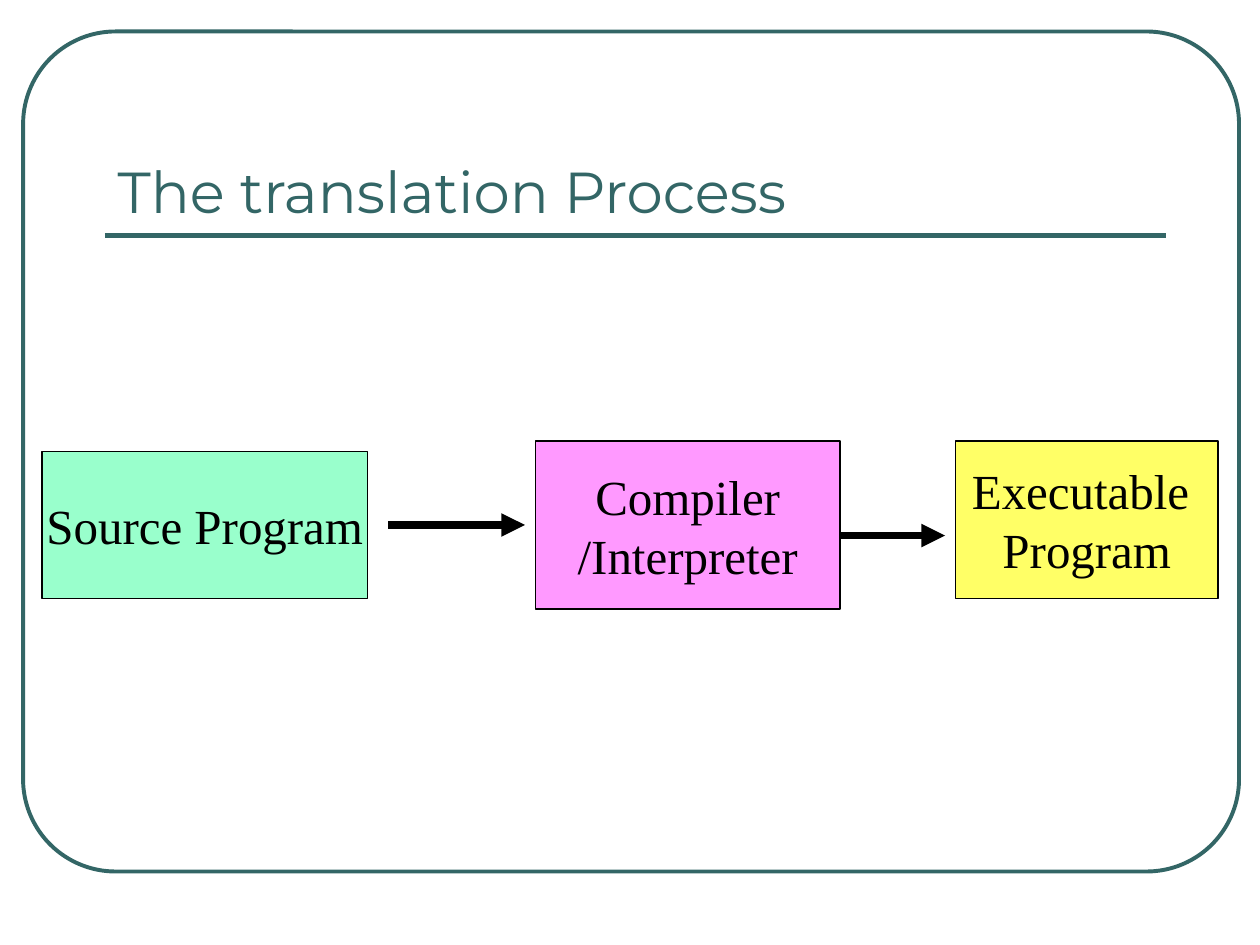
import pptx
import pptx.util
import pptx.dml.color
import pptx.enum.shapes
import pptx.enum.text
import pptx.oxml
import pptx.oxml.ns
from lxml import etree

COLUMNS, ROWS = 120, 90
CELL = pptx.util.Inches(10) // COLUMNS
TEAL, BLACK = "336666", "000000"
TITLE_FONT = {"name": "Montserrat", "size": pptx.util.Pt(33)}
LABEL_FONT = {"name": "Times New Roman", "size": pptx.util.Pt(28)}
STAGES = [
    ((4, 43, 31, 14), "99FFCC", "Source Program"),
    ((51, 42, 29, 16), "FF99FF", "Compiler\n/Interpreter"),
    ((91, 42, 25, 15), "FFFF66", "Executable \nProgram"),
]
ARROWS = [(37, 50, 50), (80, 90, 51)]


def grid(*cells):
    """Turn columns and rows of the grid into lengths."""
    return [round(cell * CELL) for cell in cells]


def color(value):
    """Turn a hex string into a colour."""
    return pptx.dml.color.RGBColor.from_string(value)


def set_values(target, values):
    """Set each attribute named in a dict of format values."""
    for name, value in values.items():
        setattr(target, name, value)


def set_line(shape, value, width):
    """Give a shape's outline a colour and a width in points."""
    shape.line.color.rgb = color(value)
    shape.line.width = pptx.util.Pt(width)


def write(shape, text, font, value, align, frame_format):
    """Write formatted text into a shape."""
    frame = shape.text_frame
    set_values(frame, frame_format)
    frame.text = text
    for para in frame.paragraphs:
        para.alignment = align
        for span in para.runs:
            set_values(span.font, font)
            span.font.color.rgb = color(value)


def add_title(page, text):
    """Place and format the title placeholder."""
    title = page.shapes.title
    set_values(title, dict(zip(("left", "top", "width", "height"), grid(10, 7, 101, 15))))
    write(title, text, TITLE_FONT, TEAL, pptx.enum.text.PP_ALIGN.LEFT,
          {"vertical_anchor": pptx.enum.text.MSO_ANCHOR.BOTTOM, "word_wrap": True,
           "auto_size": pptx.enum.text.MSO_AUTO_SIZE.NONE})


def add_frame(page):
    """Draw the rounded outline around the page."""
    frame = page.shapes.add_shape(
        pptx.enum.shapes.MSO_SHAPE.ROUNDED_RECTANGLE, *grid(2.2, 3, 115.8, 80))
    frame.adjustments[0] = 0.11
    frame.shadow.inherit = False
    frame.fill.background()
    set_line(frame, TEAL, 2.25)


def add_stage(page, place, fill, text):
    """Add one labelled box of the process."""
    box = page.shapes.add_shape(pptx.enum.shapes.MSO_SHAPE.RECTANGLE, *grid(*place))
    box.shadow.inherit = False
    box.fill.solid()
    box.fill.fore_color.rgb = color(fill)
    set_line(box, BLACK, 0.75)
    write(box, text, LABEL_FONT, BLACK, pptx.enum.text.PP_ALIGN.CENTER,
          {"vertical_anchor": pptx.enum.text.MSO_ANCHOR.MIDDLE, "word_wrap": False})


def add_line(page, start, end, row, value, width):
    """Add a horizontal line without a shadow."""
    line = page.shapes.add_connector(
        pptx.enum.shapes.MSO_CONNECTOR.STRAIGHT, *grid(start, row, end, row))
    set_line(line, value, width)
    etree.SubElement(line._element.spPr, pptx.oxml.ns.qn("a:effectLst"))
    return line


def add_arrow(page, start, end, row):
    """Add a horizontal arrow pointing right."""
    arrow = add_line(page, start, end, row, BLACK, 4.5)
    etree.SubElement(arrow.line._get_or_add_ln(), pptx.oxml.ns.qn("a:tailEnd"), type="triangle")


def main():
    """Build the slide and save it."""
    deck = pptx.Presentation()
    deck.slide_width, deck.slide_height = grid(COLUMNS, ROWS)
    page = deck.slides.add_slide(deck.slide_layouts[5])
    add_frame(page)
    add_line(page, 10, 111, 22.4, TEAL, 3)
    add_title(page, "The translation Process")
    for stage in STAGES:
        add_stage(page, *stage)
    for arrow in ARROWS:
        add_arrow(page, *arrow)
    deck.save("out.pptx")


if __name__ == "__main__":
    main()
